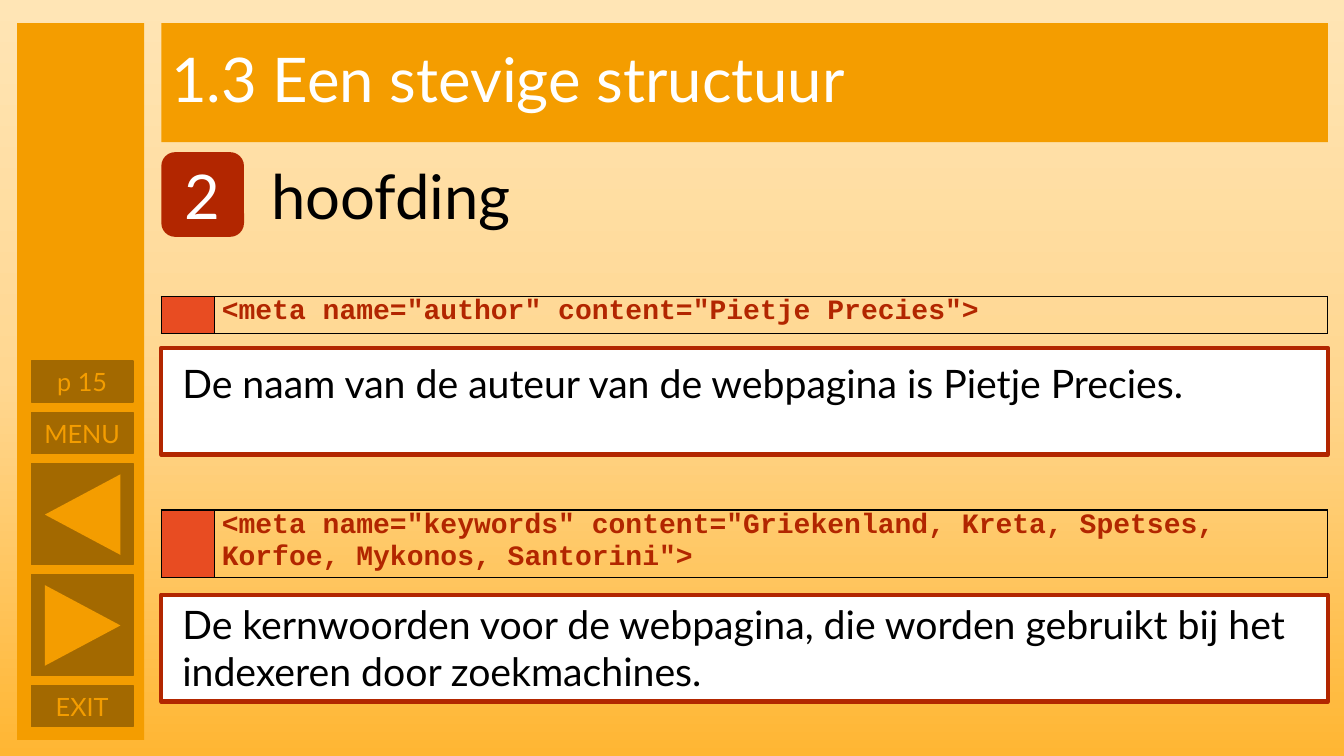
from copy import deepcopy

from pptx import Presentation
from pptx.dml.color import RGBColor
from pptx.enum.shapes import MSO_SHAPE as Shape
from pptx.enum.text import MSO_ANCHOR as Anchor, MSO_AUTO_SIZE as Auto, PP_ALIGN as Align
from pptx.oxml.ns import qn
from pptx.oxml.xmlchemy import OxmlElement as Node
from pptx.util import Inches, Pt

ORANGE, BROWN, RED, TILE = "F49D00", "A36900", "B22600", "E84C22"
WHITE, BLACK = "FFFFFF", "000000"
LEFT, WIDE = 1.6, 11.57


def color(code):
    return RGBColor.from_string(code)


def write(frame, text, size, code, font="Lato", bold=False, align=Align.LEFT):
    frame.word_wrap = True
    para = frame.paragraphs[0]
    para.alignment = align
    run = para.add_run()
    run.text = text
    run.font.size, run.font.name, run.font.bold = Pt(size), font, bold
    run.font.color.rgb = color(code)
    return para


def block(slide, kind, box, fill, line=None, width=1, turn=0):
    shape = slide.shapes.add_shape(kind, *map(Inches, box))
    shape.shadow.inherit = False
    shape.rotation = turn
    shape.fill.solid()
    shape.fill.fore_color.rgb = color(fill)
    if line:
        shape.line.color.rgb = color(line)
        shape.line.width = Pt(width)
    else:
        shape.line.fill.background()
    shape.text_frame.vertical_anchor = Anchor.MIDDLE
    return shape


def label(slide, box, text, size, anchor=Anchor.TOP, grow=False):
    frame = slide.shapes.add_textbox(*map(Inches, box)).text_frame
    write(frame, text, size, BLACK)
    frame.vertical_anchor = anchor
    if grow:
        frame.auto_size = Auto.SHAPE_TO_FIT_TEXT


def button(slide, top, high, text=None):
    shape = block(slide, Shape.RECTANGLE, (0.31, top, 1.01, high), BROWN, BROWN)
    if text:
        frame = shape.text_frame
        frame.margin_left = frame.margin_right = 0
        write(frame, text, 18, ORANGE, align=Align.CENTER)


def arrow(slide, top, turn):
    button(slide, top, 1)
    block(slide, Shape.ISOSCELES_TRIANGLE, (0.42, top + 0.13, 0.8, 0.75), ORANGE, turn=turn)


def border(cell):
    props = cell._tc.get_or_add_tcPr()
    for side in ("a:lnL", "a:lnR", "a:lnT", "a:lnB"):
        line = Node(side)
        line.set("w", str(Pt(1)))
        fill, tint = Node("a:solidFill"), Node("a:srgbClr")
        tint.set("val", BLACK)
        fill.append(tint)
        line.append(fill)
        props.append(line)


def code_row(slide, top, high, text):
    box = (LEFT, top, WIDE, high)
    table = slide.shapes.add_table(1, 2, *map(Inches, box)).table
    table.first_row = table.horz_banding = False
    for col, width in zip(table.columns, (0.53, 11.04)):
        col.width = Inches(width)
    mark, code = table.rows[0].cells
    for cell in (mark, code):
        border(cell)
        cell.margin_left = cell.margin_right = Inches(0.07)
        cell.margin_top = cell.margin_bottom = 0
    mark.fill.solid()
    mark.fill.fore_color.rgb = color(TILE)
    code.fill.background()
    write(code.text_frame, text, 20, RED, "Courier New", True)


def note(slide, top, inset, high, text):
    block(slide, Shape.RECTANGLE, (LEFT, top, WIDE, 1.06), WHITE, RED, 3)
    label(slide, (1.71, top + inset, 11.34, high), text, 28, grow=True)


def backdrop(slide):
    fill = slide.background.fill
    fill.gradient()
    fill.gradient_angle = 270
    stops = slide.element.find(".//" + qn("a:gsLst"))
    stops.append(deepcopy(stops[0]))
    shades = ((0, "FFE5B5"), (0.5, "FFD791"), (1, "FFB633"))
    for stop, (place, code) in zip(fill.gradient_stops, shades):
        stop.position = place
        stop.color.rgb = color(code)


def main():
    deck = Presentation()
    deck.slide_width, deck.slide_height = Inches(13.33), Inches(7.5)
    slide = deck.slides.add_slide(deck.slide_layouts[6])
    backdrop(slide)

    # Title bar
    title = block(slide, Shape.RECTANGLE, (LEFT, 0.23, WIDE, 1.18), ORANGE)
    para = write(title.text_frame, "1.3 Een stevige structuur", 44, WHITE)
    para.line_spacing = 0.9

    # Side menu
    block(slide, Shape.RECTANGLE, (0.17, 0.23, 1.26, 7.11), ORANGE)
    for top, text in ((3.58, "p 15"), (4.09, "MENU"), (6.8, "EXIT")):
        button(slide, top, 0.41, text)
    arrow(slide, 4.6, 270)
    arrow(slide, 5.7, 90)

    # Numbered heading
    badge = block(slide, Shape.ROUNDED_RECTANGLE, (LEFT, 1.51, 0.82, 0.84), RED)
    write(badge.text_frame, "2", 44, WHITE, align=Align.CENTER)
    label(slide, (2.59, 1.51, 10.58, 0.84), "hoofding", 44, Anchor.MIDDLE)

    # Code lines with their meaning
    code_row(slide, 2.94, 0.37, '<meta name="author" content="Pietje Precies">')
    note(slide, 3.45, 0.07, 0.57,
         "De naam van de auteur van de webpagina is Pietje Precies.")
    code_row(slide, 5.06, 0.62, '<meta name="keywords" content="Griekenland, Kreta, '
             'Spetses, Korfoe, Mykonos, Santorini">')
    note(slide, 5.9, 0.01, 1.04, "De kernwoorden voor de webpagina, die worden "
         "gebruikt bij het indexeren door zoekmachines.")

    deck.save("out.pptx")


if __name__ == "__main__":
    main()
